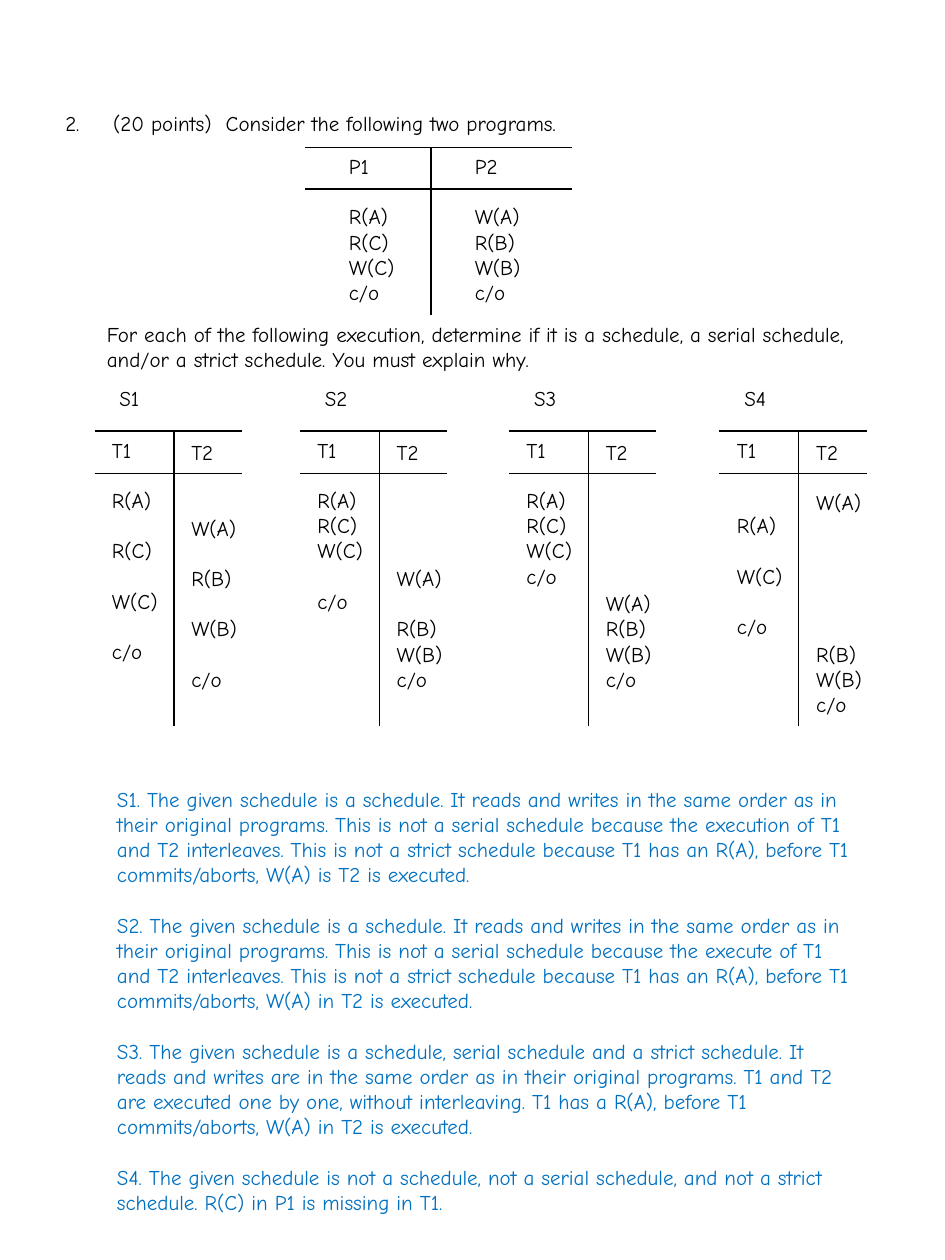
"""Build an exam page on schedules of two programs, with worked answers."""
from dataclasses import dataclass

from lxml import etree
from pptx import Presentation, util as u
from pptx.dml import color
from pptx.enum import shapes, text
from pptx.oxml import ns


@dataclass(frozen=True)
class Theme:
    font: str = "Comic Neue"
    size: float = 12
    row: float = 0.2
    rule: float = 0.75
    ink: str = "000000"
    answer: str = "0070C0"


@dataclass(frozen=True)
class Column:
    dx: float
    dy: float
    width: float
    rows: str


@dataclass(frozen=True)
class Grid:
    left: float
    top: float
    width: float
    header: float
    height: float
    axis: float
    columns: tuple[Column, ...]
    title: str = ""


THEME = Theme()
GAP = "-"


def schedule(title: str, left: float, first: str, second: str) -> Grid:
    columns = (Column(0.67, 0.02, 0.63, second), Column(0.04, 0, 0.75, first))
    return Grid(left, 3.42, 1.17, 0.34, 2.34, 0.63, columns, title)


PROGRAMS = Grid(2.42, 1.17, 2.12, 0.33, 1.33, 1, (
    Column(1.25, 0, 0.63, "P2 - W(A) R(B) W(B) c/o"),
    Column(0.25, 0, 0.75, "P1 - R(A) R(C) W(C) c/o"),
))
SCHEDULES = (
    schedule("S1", 0.75, "T1 - R(A) - R(C) - W(C) - c/o", "T2 - - W(A) - R(B) - W(B) - c/o"),
    schedule("S2", 2.38, "T1 - R(A) R(C) W(C) - c/o", "T2 - - - - W(A) - R(B) W(B) c/o"),
    schedule("S3", 4.04, "T1 - R(A) R(C) W(C) c/o", "T2 - - - - - W(A) R(B) W(B) c/o"),
    schedule("S4", 5.71, "T1 - - R(A) - W(C) - c/o", "T2 - W(A) - - - - - R(B) W(B) c/o"),
)
QUESTION = "(20 points)  Consider the following two programs."
TASK = ("For each of the following execution, determine if it is a schedule, a serial schedule, "
        "and/or a strict schedule. You must explain why.")
ANSWERS = (
    "S1. The given schedule is a schedule. It reads and writes in the same order as in their "
    "original programs. This is not a serial schedule because the execution of T1 and T2 "
    "interleaves. This is not a strict schedule because T1 has an R(A), before T1 "
    "commits/aborts, W(A) is T2 is executed.",
    "S2. The given schedule is a schedule. It reads and writes in the same order as in their "
    "original programs. This is not a serial schedule because the execute of T1 and T2 "
    "interleaves. This is not a strict schedule because T1 has an R(A), before T1 "
    "commits/aborts, W(A) in T2 is executed.",
    "S3. The given schedule is a schedule, serial schedule and a strict schedule. It reads and "
    "writes are in the same order as in their original programs. T1 and T2 are executed one by "
    "one, without interleaving. T1 has a R(A), before T1 commits/aborts, W(A) in T2 is executed.",
    "S4. The given schedule is not a schedule, not a serial schedule, and not a strict schedule. "
    "R(C) in P1 is missing in T1.",
)


def add_text(page, left: float, top: float, width: float, height: float,
             lines: list[tuple[int, str]], ink: str = THEME.ink, wrap: bool = True):
    """Add a text box whose lines each follow a number of empty rows."""
    box = page.shapes.add_textbox(*map(u.Inches, (left, top, width, height)))
    frame = box.text_frame
    frame.word_wrap = wrap
    frame.auto_size = text.MSO_AUTO_SIZE.SHAPE_TO_FIT_TEXT
    frame.text = "\n".join(line for _, line in lines)
    for para, (gaps, _) in zip(frame.paragraphs, lines):
        para.space_before = u.Inches(gaps * THEME.row)
        for span in para.runs:
            span.font.name = THEME.font
            span.font.size = u.Pt(THEME.size)
            span.font.color.rgb = color.RGBColor.from_string(ink)
    return box


def add_rule(page, x1: float, y1: float, x2: float, y2: float) -> None:
    """Draw one thin straight rule."""
    rule = page.shapes.add_connector(
        shapes.MSO_CONNECTOR.STRAIGHT, *map(u.Inches, (x1, y1, x2, y2)))
    rule.line.color.rgb = color.RGBColor.from_string(THEME.ink)
    rule.line.width = u.Pt(THEME.rule)
    etree.SubElement(rule._element.spPr, ns.qn("a:effectLst"))


def spaced_lines(rows: str) -> list[tuple[int, str]]:
    """Turn a row listing into lines with the count of gaps before each."""
    lines, gaps = [], 0
    for row in rows.split():
        if row == GAP:
            gaps += 1
        else:
            lines.append((gaps, row))
            gaps = 0
    return lines


def add_grid(page, grid: Grid) -> None:
    """Draw the rules, columns and title of one grid."""
    for y in (grid.top + grid.header, grid.top):
        add_rule(page, grid.left, y, grid.left + grid.width, y)
    axis = grid.left + grid.axis
    add_rule(page, axis, grid.top, axis, grid.top + grid.height)
    for column in grid.columns:
        height = 0.1 + THEME.row * len(column.rows.split())
        add_text(page, grid.left + column.dx, grid.top + column.dy, column.width, height,
                 spaced_lines(column.rows))
    if grid.title:
        add_text(page, grid.left + 0.1, grid.top - 0.41, 0.4, 0.3, [(0, grid.title)], wrap=False)


def number_from(para, start: int, indent: float) -> None:
    """Number a paragraph with a hanging indent."""
    props = para._p.get_or_add_pPr()
    props.set("marL", str(u.Inches(indent)))
    props.set("indent", str(-u.Inches(indent)))
    etree.SubElement(props, ns.qn("a:buAutoNum"), type="arabicPeriod", startAt=str(start))


def main() -> None:
    """Build and save the deck."""
    deck = Presentation()
    deck.slide_width, deck.slide_height = u.Inches(7.5), u.Inches(10)
    page = deck.slides.add_slide(deck.slide_layouts[6])
    question = add_text(page, 0.42, 0.83, 5.83, 0.3, [(0, QUESTION)])
    number_from(question.text_frame.paragraphs[0], 2, 0.38)
    add_grid(page, PROGRAMS)
    add_text(page, 0.75, 2.5, 6.08, 0.5, [(0, TASK)])
    for grid in SCHEDULES:
        add_grid(page, grid)
    answers = [(min(index, 1), answer) for index, answer in enumerate(ANSWERS)]
    add_text(page, 0.83, 6.19, 6.05, 3.7, answers, THEME.answer)
    deck.save("out.pptx")


if __name__ == "__main__":
    main()
